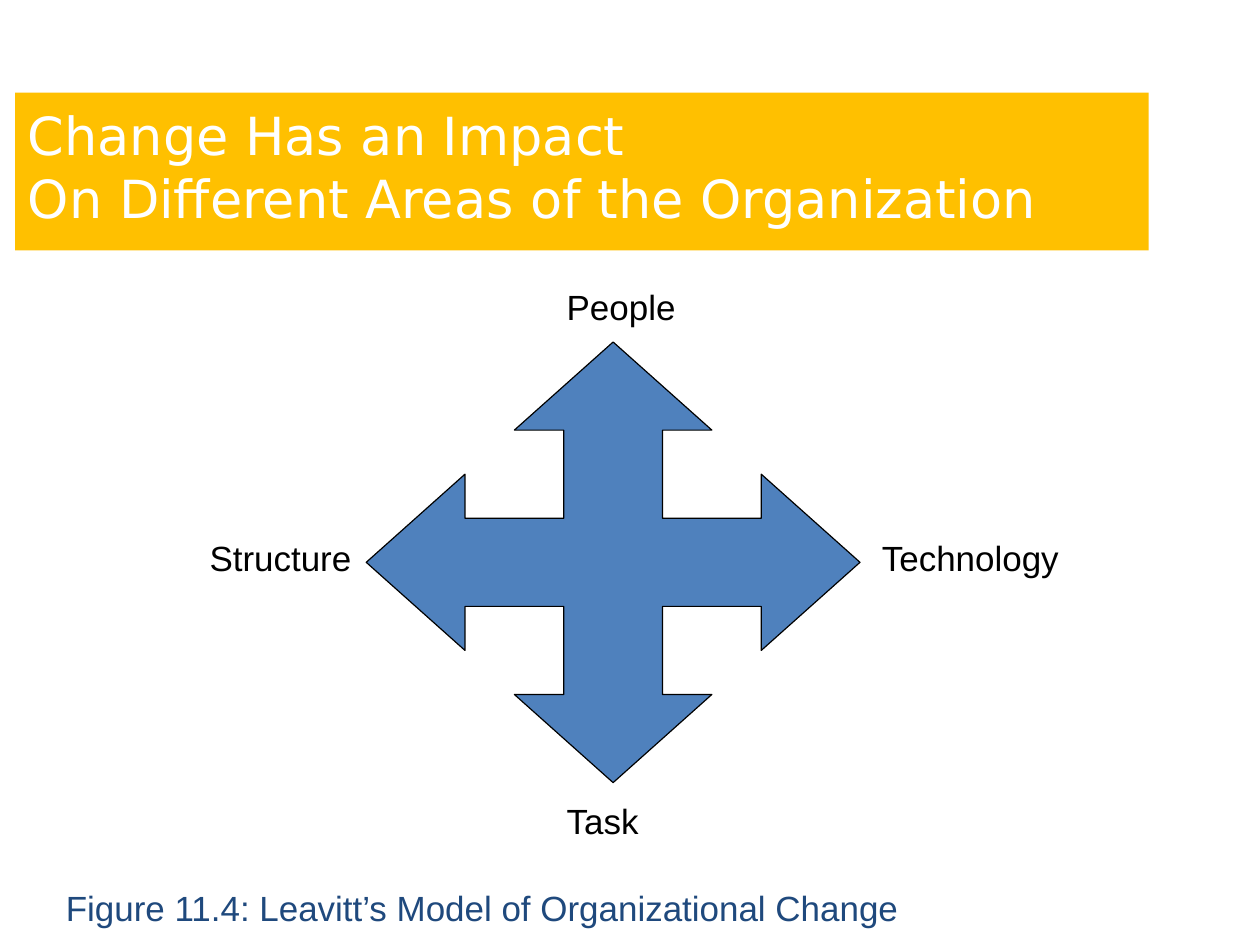
from pptx import Presentation
from pptx.dml.color import RGBColor
from pptx.enum.shapes import MSO_SHAPE
from pptx.enum.text import MSO_ANCHOR, MSO_AUTO_SIZE, PP_ALIGN
from pptx.util import Emu, Pt

RECTANGLE = MSO_SHAPE.RECTANGLE
TOP = MSO_ANCHOR.TOP
LEFT = PP_ALIGN.LEFT
FIT_SHAPE = MSO_AUTO_SIZE.SHAPE_TO_FIT_TEXT

EMU_PER_PX = 9144  # 100 px to the inch

THEME = {
    "banner": RGBColor.from_string("FFC000"),
    "arrow": RGBColor.from_string("4F81BD"),
    "outline": RGBColor.from_string("000000"),
    "title": {"name": "DejaVu Sans", "size": Pt(32.6), "color": "FFFFFF"},
    "label": {"name": "Arial", "size": Pt(21.7), "color": "000000"},
    "caption": {"name": "Arial", "size": Pt(21.7), "color": "1F497D"},
}


def px(length):
    return Emu(length * EMU_PER_PX)


def write(frame, text, style, layout):
    for attribute, value in layout.items():
        setattr(frame, attribute, value)
    paragraph = frame.paragraphs[0]
    paragraph.text = text
    paragraph.alignment = LEFT
    for run in paragraph.runs:
        run.font.name = style["name"]
        run.font.size = style["size"]
        run.font.color.rgb = RGBColor.from_string(style["color"])


presentation = Presentation()
presentation.slide_width = px(1087)
presentation.slide_height = px(815)
slide = presentation.slides.add_slide(presentation.slide_layouts[6])
shapes = slide.shapes

# Four-way arrow: one arm in tenths of its size, turned by quarters
arm = [(0, -5), (-2, -3), (-1, -3), (-1, -1), (-3, -1), (-3, -2)]
outline = []
for quarter in range(4):
    outline += arm
    arm = [(y, -x) for x, y in arm]

builder = shapes.build_freeform(*outline[0], scale=(px(426) / 10, px(380) / 10))
builder.add_line_segments(outline[1:], close=True)
change_arrow = builder.convert_to_shape(px(529), px(485))
change_arrow.shadow.inherit = False
change_arrow.fill.solid()
change_arrow.fill.fore_color.rgb = THEME["arrow"]
change_arrow.line.color.rgb = THEME["outline"]
change_arrow.line.width = Pt(0.75)

# Title banner
banner = shapes.add_shape(RECTANGLE, px(13), px(80), px(978), px(136))
banner.shadow.inherit = False
banner.fill.solid()
banner.fill.fore_color.rgb = THEME["banner"]
banner.line.fill.background()
write(banner.text_frame, "Change Has an Impact\nOn Different Areas of the Organization", THEME["title"], {
    "word_wrap": True, "vertical_anchor": TOP,
    "margin_left": px(11), "margin_right": px(11),
    "margin_top": px(9), "margin_bottom": px(5),
})

# Labels at the arrow tips, and the figure caption
for text, left, top, width, style in [
    ("People", 479, 241, 115, "label"),
    ("Technology", 751, 458, 175, "label"),
    ("Task", 479, 685, 83, "label"),
    ("Structure", 171, 458, 144, "label"),
    ("Figure 11.4: Leavitt’s Model of Organizational Change", 47, 760, 747, "caption"),
]:
    label = shapes.add_textbox(px(left), px(top), px(width), px(47))
    write(label.text_frame, text, THEME[style], {"word_wrap": False, "auto_size": FIT_SHAPE})

presentation.save("out.pptx")
